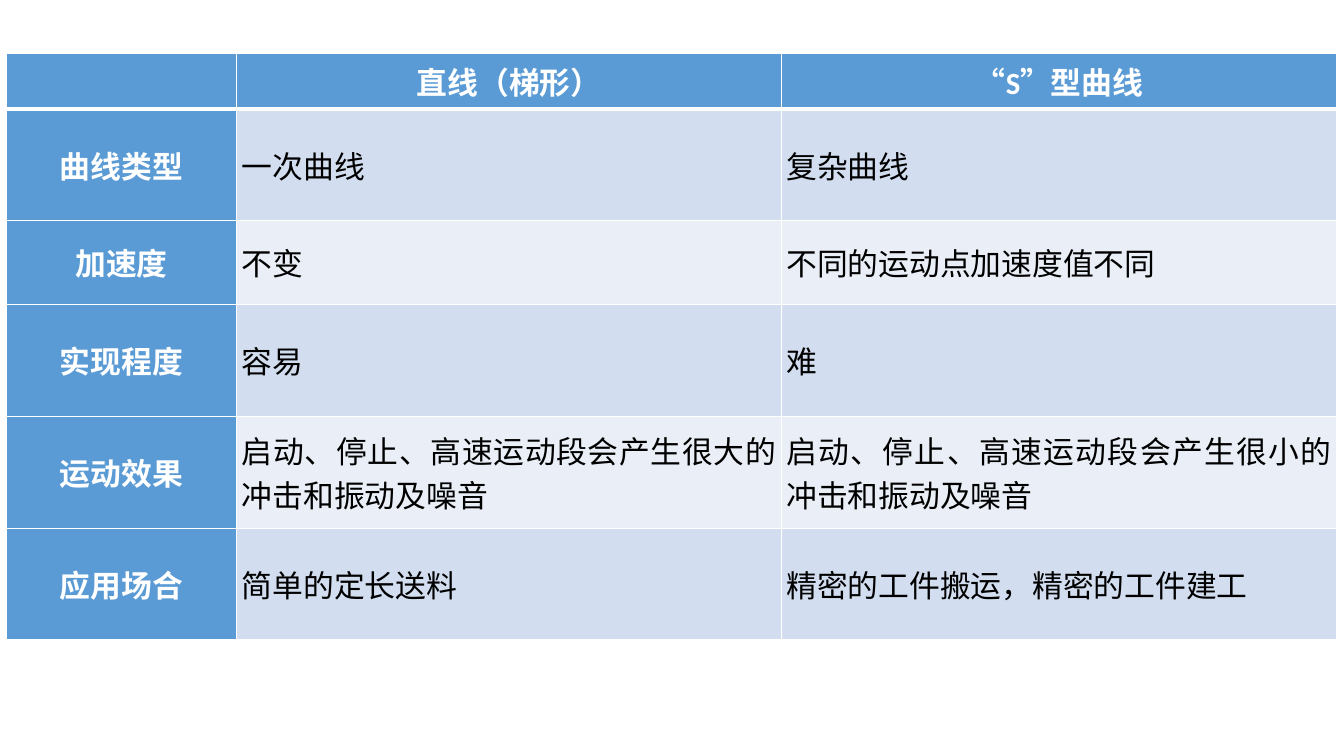
from dataclasses import dataclass

from lxml import etree
from pptx import Presentation
from pptx.dml.color import RGBColor
from pptx.enum.text import MSO_ANCHOR, PP_ALIGN
from pptx.oxml.ns import qn
from pptx.util import Inches, Pt

CENTER, JUSTIFY = PP_ALIGN.CENTER, PP_ALIGN.JUSTIFY
MIDDLE = MSO_ANCHOR.MIDDLE

COMPARISON = [
    ("", "直线（梯形）", "“S”型曲线"),
    ("曲线类型", "一次曲线", "复杂曲线"),
    ("加速度", "不变", "不同的运动点加速度值不同"),
    ("实现程度", "容易", "难"),
    ("运动效果", "启动、停止、高速运动段会产生很大的冲击和振动及噪音",
     "启动、停止、高速运动段会产生很小的冲击和振动及噪音"),
    ("应用场合", "简单的定长送料", "精密的工件搬运，精密的工件建工"),
]
SLIDE_SIZE = (13.33, 7.5)
TABLE_ORIGIN = (0.06, 0.53)
COLUMN_WIDTHS = (2.29, 5.4, 5.51)
ROW_HEIGHTS = (0.55, 1.11, 0.83, 1.11, 1.11, 1.11)
SIDE_MARGIN = 0.05


@dataclass(frozen=True)
class Theme:
    font: str = "Calibri"
    size: int = 22
    heading_fill: str = "5B9BD5"
    heading_text: str = "FFFFFF"
    body_text: str = "000000"
    bands: tuple = ("EAEFF7", "D2DEEF")
    rule: str = "FFFFFF"
    thin: int = 1
    thick: int = 3


THEME = Theme()


def add_borders(cell, row):
    properties = cell._tc.get_or_add_tcPr()
    widths = {
        "a:lnL": THEME.thin,
        "a:lnR": THEME.thin,
        "a:lnT": THEME.thick if row == 1 else THEME.thin,
        "a:lnB": THEME.thick if row == 0 else THEME.thin,
    }
    for side, width in widths.items():
        border = etree.SubElement(properties, qn(side), w=str(Pt(width)))
        fill = etree.SubElement(border, qn("a:solidFill"))
        etree.SubElement(fill, qn("a:srgbClr"), val=THEME.rule)


def fill_cell(cell, row, column, wording):
    heading = row == 0 or column == 0
    add_borders(cell, row)
    cell.fill.solid()
    cell.fill.fore_color.rgb = RGBColor.from_string(
        THEME.heading_fill if heading else THEME.bands[row % 2])
    cell.margin_left = cell.margin_right = Inches(SIDE_MARGIN)
    cell.margin_top = cell.margin_bottom = 0
    cell.vertical_anchor = MIDDLE
    cell.text = wording
    paragraph = cell.text_frame.paragraphs[0]
    paragraph.alignment = CENTER if heading else JUSTIFY
    font = paragraph.font
    font.name, font.size, font.bold = THEME.font, Pt(THEME.size), heading
    font.color.rgb = RGBColor.from_string(
        THEME.heading_text if heading else THEME.body_text)


def main():
    deck = Presentation()
    deck.slide_width, deck.slide_height = map(Inches, SLIDE_SIZE)
    slide = deck.slides.add_slide(deck.slide_layouts[6])
    extent = (sum(COLUMN_WIDTHS), sum(ROW_HEIGHTS))
    table = slide.shapes.add_table(
        len(ROW_HEIGHTS), len(COLUMN_WIDTHS),
        *map(Inches, TABLE_ORIGIN + extent)).table
    table.first_col = True
    for column, width in zip(table.columns, COLUMN_WIDTHS):
        column.width = Inches(width)
    for row, height in zip(table.rows, ROW_HEIGHTS):
        row.height = Inches(height)
    for r, wordings in enumerate(COMPARISON):
        for c, wording in enumerate(wordings):
            fill_cell(table.cell(r, c), r, c, wording)
    deck.save("out.pptx")


if __name__ == "__main__":
    main()
